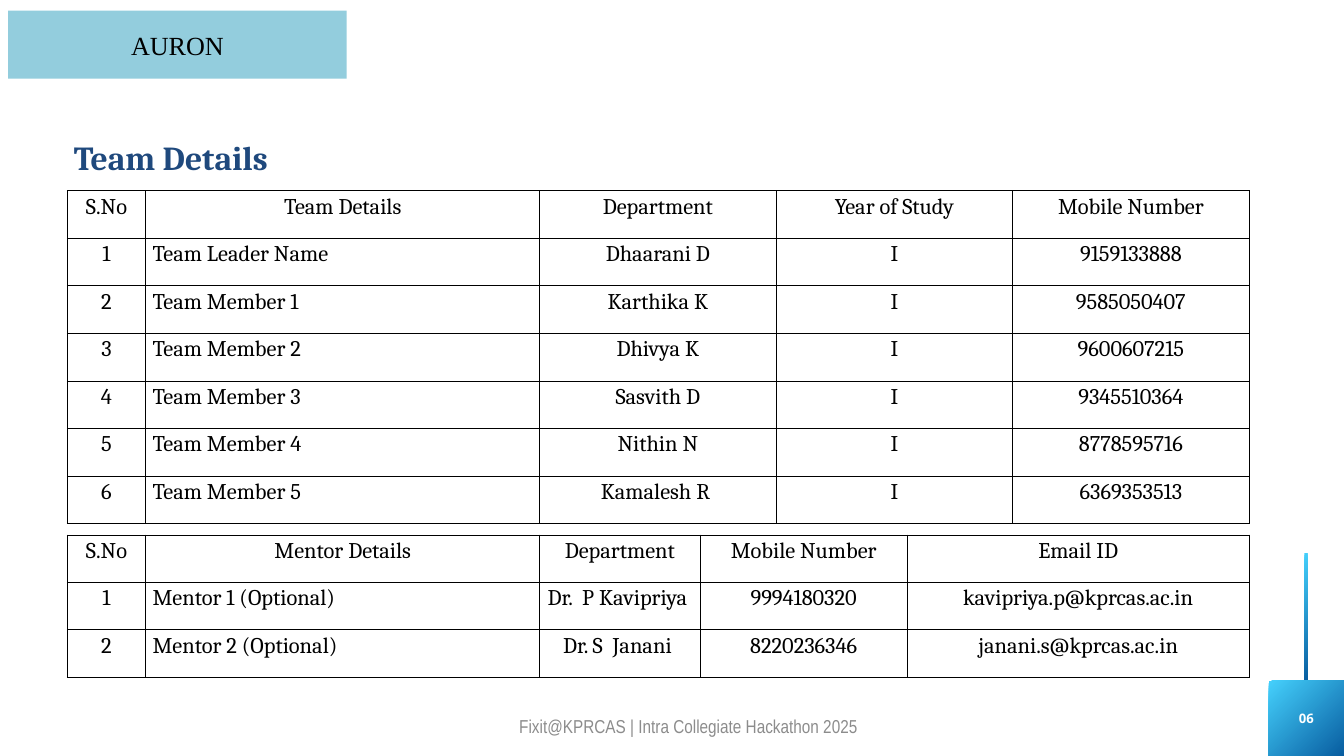
from lxml import etree
from pptx import Presentation
from pptx import util as u
from pptx.dml.color import RGBColor
from pptx.enum import shapes, text
from pptx.oxml.ns import qn

PX = 9144
COLORS = {
    "ink": "000000",
    "white": "FFFFFF",
    "heading": "1F497D",
    "footer": "8C8C8C",
    "badge": "93CDDD",
    "glow": "45D0FC",
    "deep": "085DA0",
}
CENTER = text.PP_ALIGN.CENTER
TEAM = [
    ("S.No", "Team Details", "Department", "Year of Study", "Mobile Number"),
    ("1", "Team Leader Name", "Dhaarani D", "I", "9159133888"),
    ("2", "Team Member 1", "Karthika K", "I", "9585050407"),
    ("3", "Team Member 2", "Dhivya K", "I", "9600607215"),
    ("4", "Team Member 3", "Sasvith D", "I", "9345510364"),
    ("5", "Team Member 4", "Nithin N", "I", "8778595716"),
    ("6", "Team Member 5", "Kamalesh R ", "I", "6369353513"),
]
MENTORS = [
    ("S.No", "Mentor Details", "Department", "Mobile Number", "Email ID"),
    ("1", "Mentor 1 (Optional)", "Dr.  P Kavipriya ", "9994180320", "kavipriya.p@kprcas.ac.in"),
    ("2", "Mentor 2 (Optional)", "Dr. S  Janani ", "8220236346", "janani.s@kprcas.ac.in"),
]


def rgb(name):
    """Return the named colour."""
    return RGBColor.from_string(COLORS[name])


def emu(*lengths):
    """Turn px lengths into EMU."""
    return [u.Emu(round(length * PX)) for length in lengths]


def write(frame, words, size=24, font="Cambria", color="ink", bold=False,
          align=None, spacing=None, anchor=None, inset=None, grow=False):
    """Write one formatted paragraph into a text frame."""
    frame.word_wrap = True
    if anchor is not None:
        frame.vertical_anchor = anchor
    if inset is not None:
        frame.margin_left = frame.margin_right = inset
        frame.margin_top = frame.margin_bottom = inset
    if grow:
        frame.auto_size = text.MSO_AUTO_SIZE.SHAPE_TO_FIT_TEXT
    line = frame.paragraphs[0]
    line.alignment = align
    line.line_spacing = spacing
    run = line.add_run()
    run.text = words
    run.font.size = u.Pt(size)
    run.font.name = font
    run.font.bold = bold
    run.font.color.rgb = rgb(color)


def label(slide, box, words, **style):
    """Place a text box."""
    write(slide.shapes.add_textbox(*emu(*box)).text_frame, words, **style)


def block(slide, box, color, end=None):
    """Place a borderless rectangle, with a diagonal gradient if an end colour is given."""
    rect = slide.shapes.add_shape(shapes.MSO_SHAPE.RECTANGLE, *emu(*box))
    rect.shadow.inherit = False
    rect.line.fill.background()
    if end:
        rect.fill.gradient()
        rect.fill.gradient_angle = 315
        for stop, name in zip(rect.fill.gradient_stops, (color, end)):
            stop.color.rgb = rgb(name)
    else:
        rect.fill.solid()
        rect.fill.fore_color.rgb = rgb(color)
    return rect


def outline(cell):
    """Give a cell a thin border on every side and no fill."""
    props = cell._tc.get_or_add_tcPr()
    for side in ("a:lnL", "a:lnR", "a:lnT", "a:lnB"):
        edge = etree.SubElement(props, qn(side), w=str(u.Pt(1)))
        paint = etree.SubElement(edge, qn("a:solidFill"))
        etree.SubElement(paint, qn("a:srgbClr"), val=COLORS["ink"])
    cell.fill.background()


def roster(slide, box, widths, people):
    """Place a table of people with equal rows and left-aligned roles."""
    grid = slide.shapes.add_table(len(people), len(widths), *emu(*box)).table
    grid.first_row = grid.horz_banding = False
    for column, width in zip(grid.columns, emu(*widths)):
        column.width = width
    for r, person in enumerate(people):
        grid.rows[r].height = emu(box[3] / len(people))[0]
        for c, words in enumerate(person):
            cell = grid.cell(r, c)
            outline(cell)
            write(cell.text_frame, words, align=None if r and c == 1 else CENTER)


def page_corner(slide, box, number):
    """Place the page number square at the foot of the box, under its bar."""
    left, top, width, height = box
    square = height - 190
    block(slide, (left + 53, top, 5, 190), "glow", "deep")
    block(slide, (left, top + 190, width, square), "glow", "deep")
    label(slide, (left + 26, top + 231, 60, 26), number, size=14, font="Open Sans",
          color="white", bold=True, align=CENTER, spacing=u.Pt(19.6), inset=0, grow=True)


def team_badge(slide, box, name):
    """Place the coloured team name."""
    write(block(slide, box, "badge").text_frame, name, size=28, font="Times New Roman",
          align=CENTER, spacing=1.5, anchor=text.MSO_ANCHOR.TOP)


def details(slide, box):
    """Place the heading with the team and mentor tables."""
    left, top, width, _ = box
    label(slide, (left, top, width + 37, 71), "Team Details", size=36,
          color="heading", bold=True, grow=True)
    roster(slide, (left, top + 85, width, 495), (117, 586, 352, 352, 352), TEAM)
    roster(slide, (left, top + 597, width, 212), (117, 586, 239, 308, 509), MENTORS)


def main():
    """Build and save the slide."""
    deck = Presentation()
    deck.slide_width, deck.slide_height = emu(2000, 1125)
    slide = deck.slides.add_slide(deck.slide_layouts[6])
    page_corner(slide, (1888, 823, 112, 302), "06")
    label(slide, (571, 1060, 907, 41), "Fixit@KPRCAS | Intra Collegiate Hackathon 2025",
          size=20, font="Arial Narrow", color="footer", align=CENTER,
          anchor=text.MSO_ANCHOR.MIDDLE)
    team_badge(slide, (12, 16, 504, 101), "AURON")
    details(slide, (100, 199, 1759, 809))
    deck.save("out.pptx")


if __name__ == "__main__":
    main()
